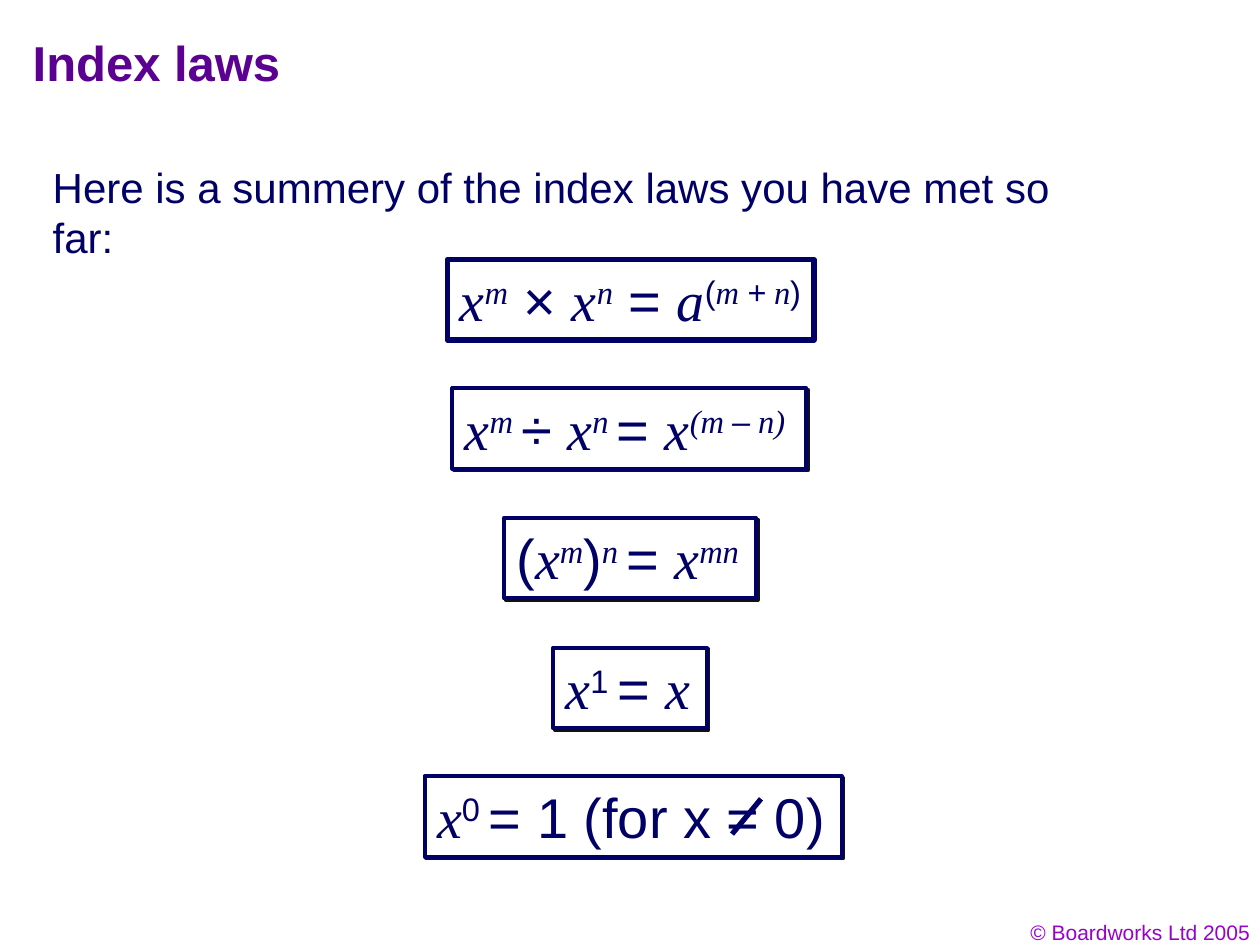
"""Build the index laws summary slide."""
from lxml import etree
from pptx import Presentation, util as u
from pptx.dml.color import RGBColor
from pptx.enum import shapes, text
from pptx.oxml import ns

PX = 9144
NAVY, INK, PURPLE, VIOLET = "000066", "010066", "5B0091", "9900CC"


def colour(value):
    return RGBColor.from_string(value)


def write(box, words, size, ink, top=5):
    frame = box.text_frame
    frame.margin_left = frame.margin_right = 10 * PX
    frame.margin_top, frame.margin_bottom = top * PX, 5 * PX
    frame.vertical_anchor = text.MSO_ANCHOR.TOP
    frame.word_wrap = True
    line = frame.paragraphs[0]
    line.text = words
    line.font.name, line.font.size = "Arial", u.Pt(size)
    line.font.color.rgb = colour(ink)
    return line


deck = Presentation()
deck.slide_width, deck.slide_height = 1000 * PX, 750 * PX
slide = deck.slides.add_slide(deck.slide_layouts[5])

title = slide.shapes.title
title.left, title.top, title.width, title.height = [n * PX for n in (16, 16, 850, 84)]
heading = write(title, "Index laws", 28, PURPLE, top=10)
heading.font.bold = True
heading.alignment = text.PP_ALIGN.LEFT

intro = slide.shapes.add_textbox(32 * PX, 121 * PX, 868 * PX, 50 * PX)
write(intro, "Here is a summery of the index laws you have met so far:", 24, INK, top=7)

footer = slide.shapes.add_textbox(769 * PX, 725 * PX, 233 * PX, 30 * PX)
write(footer, "© Boardworks Ltd 2005", 12, VIOLET).alignment = text.PP_ALIGN.RIGHT

# Run styles: t = Times New Roman, i = italic, ^ = superscript
laws = [
    (355, 291, [("x", "ti"), ("m", "ti^"), (" × ", ""), ("x", "ti"), ("n", "ti^"),
                (" = ", ""), ("a", "ti"), ("(", "^"), ("m ", "ti^"), ("+", "i^"),
                (" n", "ti^"), (")", "^")]),
    (359, 281, [("x", "ti"), ("m ", "ti^"), ("÷ ", ""), ("x", "ti"), ("n ", "ti^"),
                ("= ", ""), ("x", "ti"), ("(m ", "ti^"), ("–", "i^"), (" n)", "ti^")]),
    (400, 200, [("(", ""), ("x", "ti"), ("m", "ti^"), (")", ""), ("n ", "ti^"),
                ("= ", ""), ("x", "ti"), ("mn", "ti^")]),
    (439, 122, [("x", "ti"), ("1 ", "^"), ("= ", ""), ("x", "ti")]),
    (337, 331, [("x", "ti"), ("0 ", "^"), ("= 1 (for x = 0)", "")]),
]
for row, (left, width, runs) in enumerate(laws):
    law = slide.shapes.add_shape(shapes.MSO_SHAPE.RECTANGLE, left * PX,
                                 round(206 + 102.5 * row) * PX, width * PX, 64 * PX)
    law.shadow.inherit = False
    law.line.color.rgb = colour(NAVY)
    if row == 0:
        law.fill.background()
        law.line.width = u.Pt(3)
    else:
        law.fill.solid()
        law.fill.fore_color.rgb = colour("FFFFFF")
        law.line.width = u.Pt(2.25)
        effects = law.fill._xPr.find(ns.qn("a:effectLst"))
        shadow = etree.SubElement(effects, ns.qn("a:outerShdw"), blurRad="0",
                                  dist="17780", dir="2700000", algn="ctr", rotWithShape="0")
        etree.SubElement(shadow, ns.qn("a:srgbClr"), val="111111")

    formula = write(law, "", 32, INK)
    formula.alignment = text.PP_ALIGN.LEFT
    law.text_frame.word_wrap = False
    for words, style in runs:
        run = formula.add_run()
        run.text = words
        run.font.name = "Times New Roman" if "t" in style else "Arial"
        run.font.size = u.Pt(32)
        run.font.color.rgb = colour(INK)
        run.font.italic = "i" in style
        if "^" in style:
            run.font._element.set("baseline", "30000")

slash = slide.shapes.add_connector(shapes.MSO_CONNECTOR.STRAIGHT,
                                   604 * PX, 634 * PX, 581 * PX, 662 * PX)
slash.line.color.rgb = colour(NAVY)
slash.line.width = u.Pt(3)
etree.SubElement(slash._element.spPr, ns.qn("a:effectLst"))
slide.shapes.add_group_shape([law, slash])

deck.save("out.pptx")
